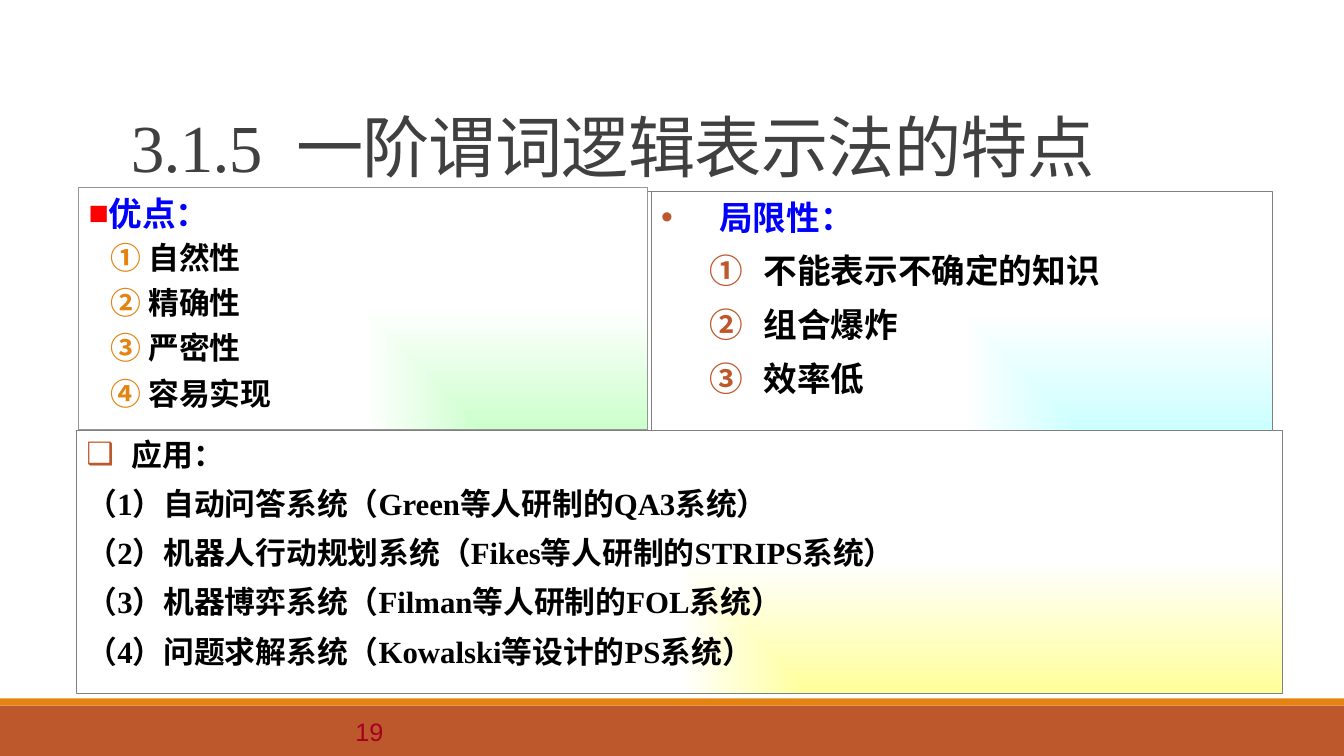
from dataclasses import dataclass

from lxml.etree import SubElement
from pptx import Presentation
from pptx.dml.color import RGBColor
from pptx.enum.shapes import MSO_CONNECTOR, MSO_SHAPE
from pptx.enum.text import MSO_ANCHOR, PP_ALIGN
from pptx.oxml.ns import qn
from pptx.util import Inches, Pt


@dataclass(frozen=True)
class Theme:
    rust: str = "BD582C"
    orange: str = "E48312"
    heading: str = "0000FF"
    title: str = "404040"
    text: str = "000000"
    marker: str = "FF0000"
    number: str = "A50021"
    border: str = "808080"
    light_border: str = "969696"
    green: str = "CCFFCC"
    cyan: str = "CCFFFF"
    yellow: str = "FFFF99"
    white: str = "FFFFFF"
    title_size: int = 48
    large: int = 24
    medium: int = 22
    small: int = 18
    serif: str = "Times New Roman"
    narrow: str = "Arial Narrow"
    sans: str = "Arial"


THEME = Theme()


def color(value):
    return RGBColor.from_string(value)


def add_run(paragraph, text, size, font, fill, bold=False, spacing=None):
    run = paragraph.add_run()
    run.text = text
    formats = {"size": Pt(size), "name": font, "bold": bold}
    for name, value in formats.items():
        setattr(run.font, name, value)
    run.font.color.rgb = color(fill)
    if spacing is not None:
        run._r.get_or_add_rPr().set("spc", str(int(spacing * 100)))


def set_marker(paragraph, left, hanging, fill=None, character=None):
    """Indent a paragraph; a fill adds a bullet, circled numbers by default."""
    properties = paragraph._p.get_or_add_pPr()
    properties.set("marL", str(Inches(left)))
    properties.set("indent", str(-Inches(hanging)))
    if fill is None:
        return
    bullet_color = SubElement(properties, qn("a:buClr"))
    SubElement(bullet_color, qn("a:srgbClr")).set("val", fill)
    if character:
        SubElement(properties, qn("a:buFont")).set("typeface", THEME.sans)
        SubElement(properties, qn("a:buChar")).set("char", character)
    else:
        SubElement(properties, qn("a:buFont")).set("typeface", "+mj-lt")
        SubElement(properties, qn("a:buAutoNum")).set("type", "circleNumDbPlain")


def set_corner_gradient(shape, fill):
    """Fade from the fill at the lower right corner to white."""
    properties = shape._element.spPr
    gradient = SubElement(properties, qn("a:gradFill"))
    stops = SubElement(gradient, qn("a:gsLst"))
    for position, value in ((0, fill), (100000, THEME.white)):
        stop = SubElement(stops, qn("a:gs"))
        stop.set("pos", str(position))
        SubElement(stop, qn("a:srgbClr")).set("val", value)
    shade = SubElement(gradient, qn("a:path"))
    shade.set("path", "rect")
    target = SubElement(shade, qn("a:fillToRect"))
    for side in ("l", "t"):
        target.set(side, "100000")


def add_rectangle(slide, box):
    shape = slide.shapes.add_shape(MSO_SHAPE.RECTANGLE, *map(Inches, box))
    shape.shadow.inherit = False
    return shape


def add_text(slide, box, anchor):
    frame = slide.shapes.add_textbox(*map(Inches, box)).text_frame
    frame.word_wrap = True
    frame.vertical_anchor = anchor
    return frame.paragraphs[0]


def add_panel(slide, box, fill, border, top_inset=0.05):
    """Add a bordered gradient panel and return its text frame."""
    shape = add_rectangle(slide, box)
    set_corner_gradient(shape, fill)
    shape.line.color.rgb = color(border)
    shape.line.width = Pt(0.75)
    frame = shape.text_frame
    frame.word_wrap = True
    frame.vertical_anchor = MSO_ANCHOR.TOP
    frame.margin_top = Inches(top_inset)
    frame.paragraphs[0].alignment = PP_ALIGN.LEFT
    return frame


def add_item(frame, before, after=0):
    paragraph = frame.add_paragraph()
    paragraph.alignment = PP_ALIGN.LEFT
    paragraph.space_before = Pt(before)
    paragraph.space_after = Pt(after)
    return paragraph


def add_frame(slide, width):
    """Add the footer bands and the rule under the title."""
    for top, height, fill in ((7, 0.5, THEME.rust), (6.93, 0.07, THEME.orange)):
        band = add_rectangle(slide, (0, top, width, height))
        band.fill.solid()
        band.fill.fore_color.rgb = color(fill)
        band.line.fill.background()
    rule = slide.shapes.add_connector(
        MSO_CONNECTOR.STRAIGHT, *map(Inches, (1.31, 1.9, 12.21, 1.9)))
    rule.line.color.rgb = color(THEME.border)
    rule.line.width = Pt(0.5)
    SubElement(rule._element.spPr, qn("a:effectLst"))


def add_title(slide, box):
    paragraph = add_text(slide, box, MSO_ANCHOR.BOTTOM)
    paragraph.line_spacing = 0.85
    for text, spacing in (("3.1.5", -0.5), (" ", 12), ("一阶谓词逻辑表示法的特点", -0.5)):
        add_run(paragraph, text, THEME.title_size, THEME.serif, THEME.title, spacing=spacing)


def add_page_number(slide, box):
    paragraph = add_text(slide, box, MSO_ANCHOR.MIDDLE)
    paragraph.alignment = PP_ALIGN.RIGHT
    add_run(paragraph, "19", THEME.small, THEME.sans, THEME.number)


def add_advantages(slide, box):
    frame = add_panel(slide, box, THEME.green, THEME.light_border)
    heading = frame.paragraphs[0]
    heading.space_after = Pt(2)
    set_marker(heading, 0.1, 0.1, THEME.marker, "■")
    add_run(heading, "优点：", THEME.large, THEME.narrow, THEME.heading, True)
    for text in ("自然性", "精确性", "严密性", "容易实现"):
        item = add_item(frame, 2, 4)
        set_marker(item, 0.42, 0.2, THEME.orange)
        add_run(item, " " + text, THEME.medium, THEME.narrow, THEME.text, True)


def add_limits(slide, box):
    frame = add_panel(slide, box, THEME.cyan, THEME.border)
    heading = frame.paragraphs[0]
    set_marker(heading, 0.5, 0.5, THEME.rust, "•")
    add_run(heading, " 局限性：", THEME.large, THEME.narrow, THEME.heading, True)
    for text in ("不能表示不确定的知识", "组合爆炸", "效率低"):
        item = add_item(frame, 9.6)
        set_marker(item, 0.94, 0.46, THEME.rust)
        add_run(item, " " + text, THEME.large, THEME.narrow, THEME.text, True)


def add_applications(slide, box):
    frame = add_panel(slide, box, THEME.yellow, THEME.border)
    heading = frame.paragraphs[0]
    set_marker(heading, 0.38, 0.38, THEME.rust, "❑")
    add_run(heading, " 应用：", THEME.medium, THEME.serif, THEME.text, True)
    systems = (
        "自动问答系统（Green等人研制的QA3系统）",
        "机器人行动规划系统（Fikes等人研制的STRIPS系统）",
        "机器博弈系统（Filman等人研制的FOL系统）",
        "问题求解系统（Kowalski等设计的PS系统）",
    )
    for number, system in enumerate(systems, 1):
        item = add_item(frame, 8.8)
        set_marker(item, 0.38, 0.38)
        add_run(item, f"（{number}）{system}", THEME.medium, THEME.serif, THEME.text, True)


def main():
    presentation = Presentation()
    presentation.slide_width = Inches(13.33)
    presentation.slide_height = Inches(7.5)
    slide = presentation.slides.add_slide(presentation.slide_layouts[6])
    add_frame(slide, 13.33)
    add_title(slide, (1.2, 0.31, 11, 1.59))
    add_advantages(slide, (0.78, 1.86, 5.64, 2.4))
    add_page_number(slide, (1.2, 7.06, 2.7, 0.4))
    add_applications(slide, (0.76, 4.27, 11.96, 2.61))
    add_limits(slide, (6.46, 1.9, 6.16, 2.37))
    presentation.save("out.pptx")


if __name__ == "__main__":
    main()
